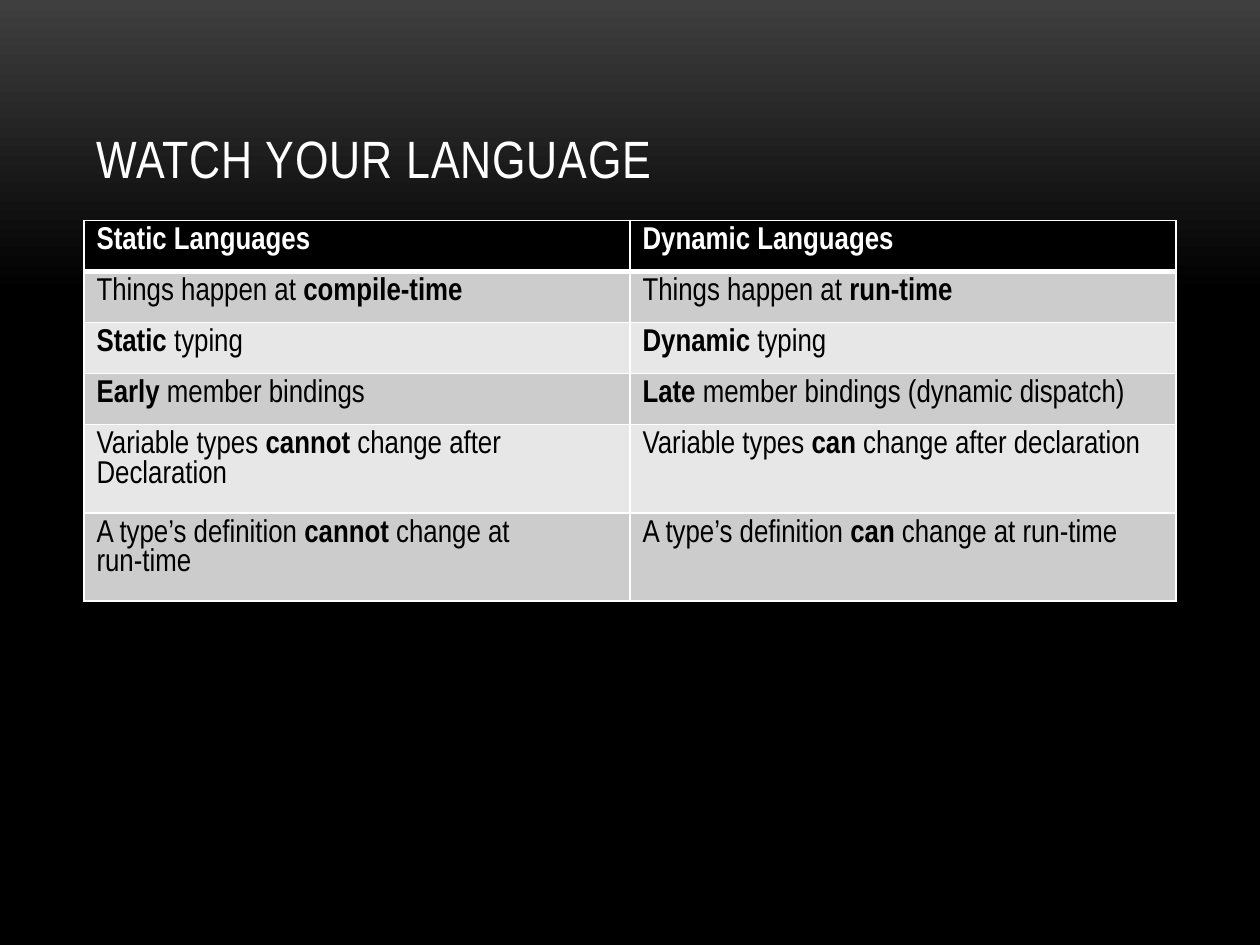
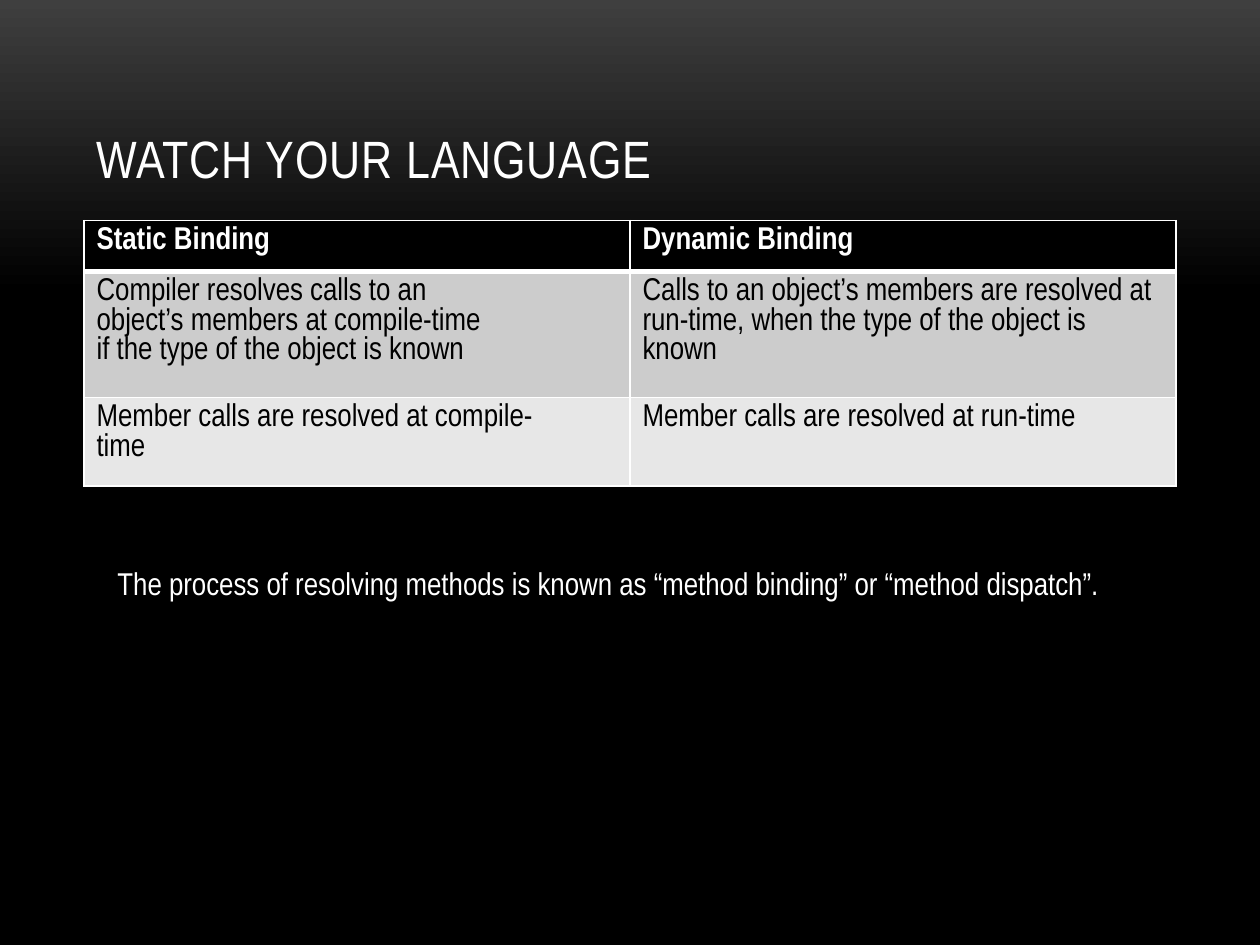
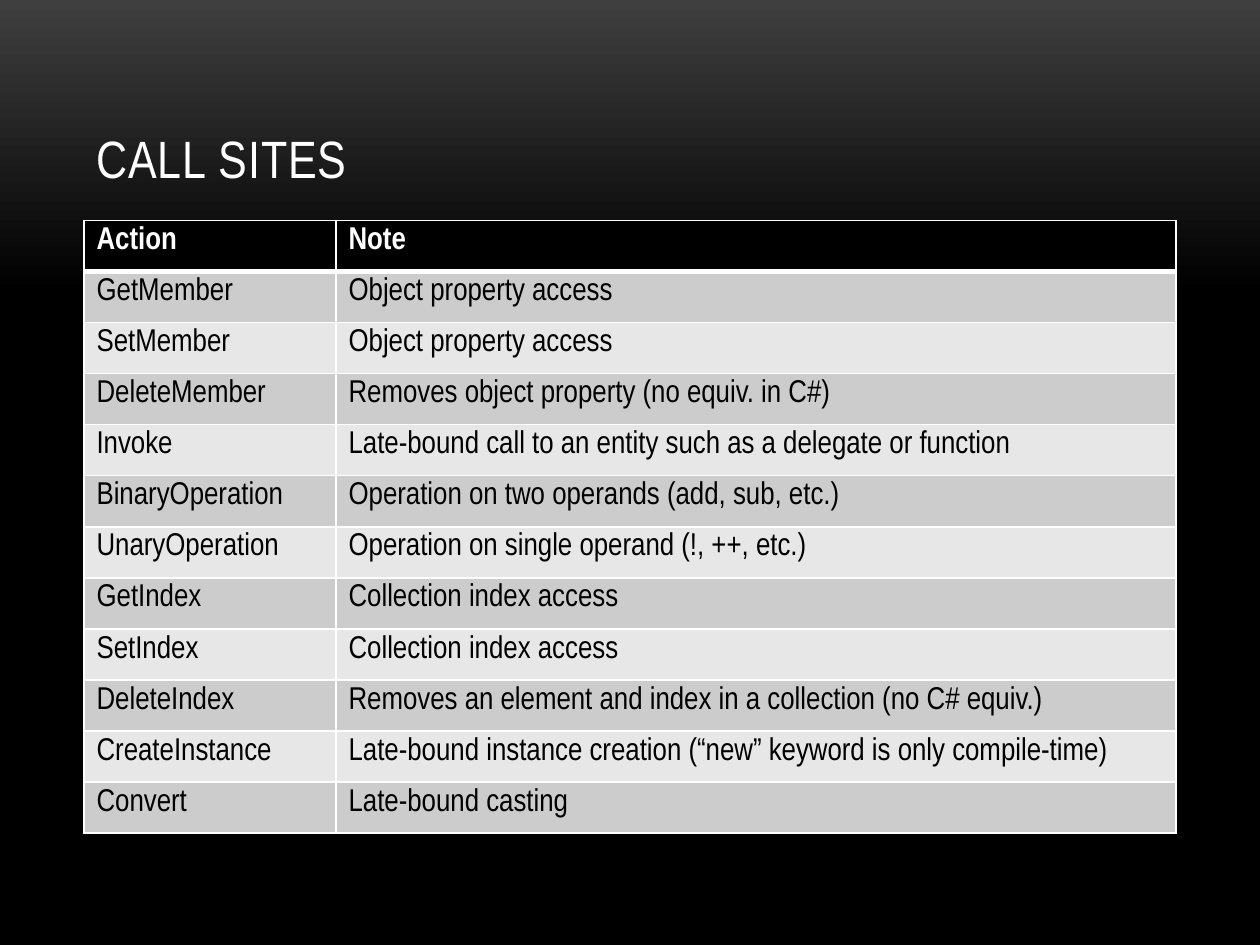
import pptx
import pptx.dml.color
import pptx.enum.text
import pptx.oxml
import pptx.oxml.ns
import pptx.util

WIDE = pptx.util.Inches(10)
HIGH = pptx.util.Inches(7.5)
FONT = "Arial Narrow"
WHITE, BLACK, GLOW = "FFFFFF", "000000", "3F3F3F"
BANDS = ["E7E7E7", "CCCCCC"]
LEFT, SPAN = 1 / 15, 13 / 15
ROW = 1 / 18.5

TYPING = [
    ["Static Languages", "Dynamic Languages"],
    ["Things happen at *compile-time*", "Things happen at *run-time*"],
    ["*Static* typing", "*Dynamic* typing"],
    ["*Early* member bindings", "*Late* member bindings (dynamic dispatch)"],
    ["Variable types *cannot* change after\nDeclaration",
     "Variable types *can* change after declaration"],
    ["A type’s definition *cannot* change at\nrun-time",
     "A type’s definition *can* change at run-time"],
]
BINDING = [
    ["Static Binding", "Dynamic Binding"],
    ["Compiler resolves calls to an\nobject’s members at compile-time\n"
     "if the type of the object is known",
     "Calls to an object’s members are resolved at run-time, "
     "when the type of the object is known"],
    ["Member calls are resolved at compile-\ntime",
     "Member calls are resolved at run-time"],
]
ACTIONS = [
    ["Action", "Note"],
    ["GetMember", "Object property access"],
    ["SetMember", "Object property access"],
    ["DeleteMember", "Removes object property (no equiv. in C#)"],
    ["Invoke", "Late-bound call to an entity such as a delegate or function"],
    ["BinaryOperation", "Operation on two operands (add, sub, etc.)"],
    ["UnaryOperation", "Operation on single operand (!, ++, etc.)"],
    ["GetIndex", "Collection index access"],
    ["SetIndex", "Collection index access"],
    ["DeleteIndex", "Removes an element and index in a collection (no C# equiv.)"],
    ["CreateInstance", "Late-bound instance creation (“new” keyword is only compile-time)"],
    ["Convert", "Late-bound casting"],
]


def color(code):
    return pptx.dml.color.RGBColor.from_string(code)


def place(left, top, width, height):
    return [int(n) for n in (left * WIDE, top * HIGH, width * WIDE, height * HIGH)]


def write(frame, text, size=18, tone=WHITE, bold=False, track=0):
    frame.word_wrap = True
    for n, line in enumerate(text.split("\n")):
        para = frame.add_paragraph() if n else frame.paragraphs[0]
        for k, part in enumerate(line.split("*")):
            if not part:
                continue
            run = para.add_run()
            run.text = part
            run.font.name = FONT
            run.font.size = pptx.util.Pt(size)
            run.font.bold = bold or k % 2 == 1
            run.font.color.rgb = color(tone)
            if track:
                run.font._element.set("spc", str(int(track * 100)))


def title(slide, text):
    frame = slide.shapes.add_textbox(*place(LEFT, 0.04, SPAN, 1 / 6)).text_frame
    frame.vertical_anchor = pptx.enum.text.MSO_ANCHOR.BOTTOM
    write(frame, text, size=30, track=0.5)


def note(slide, text):
    box = slide.shapes.add_textbox(*place(1 / 12, 0.59, 5 / 6, 0.05))
    write(box.text_frame, text)


def edge(cell, row):
    props = cell._tc.get_or_add_tcPr()
    widths = {"L": 1, "R": 1, "T": 3 if row == 1 else 1, "B": 3 if row == 0 else 1}
    for n, (side, width) in enumerate(widths.items()):
        props.insert(n, pptx.oxml.parse_xml(
            f'<a:ln{side} {pptx.oxml.ns.nsdecls("a")} w="{pptx.util.Pt(width)}">'
            f'<a:solidFill><a:srgbClr val="{WHITE}"/></a:solidFill></a:ln{side}>'))


def table(slide, rows, shares):
    spot = place(LEFT, 7 / 30, SPAN, ROW * len(rows))
    grid = slide.shapes.add_table(len(rows), len(shares), *spot).table
    for col, share in zip(grid.columns, shares):
        col.width = int(SPAN * WIDE * share / sum(shares))
    for r, texts in enumerate(rows):
        grid.rows[r].height = int(ROW * HIGH)
        head = r == 0
        for c, text in enumerate(texts):
            cell = grid.cell(r, c)
            cell.fill.solid()
            cell.fill.fore_color.rgb = color(BLACK if head else BANDS[r % 2])
            edge(cell, r)
            write(cell.text_frame, text, tone=WHITE if head else BLACK, bold=head)


def shade(master):
    fill = master.background.fill
    fill.gradient()
    fill.gradient_angle = 270
    for stop, (spot, tone) in zip(fill.gradient_stops, [(0, GLOW), (0.31, BLACK)]):
        stop.position = spot
        stop.color.rgb = color(tone)


def page(deck, text, rows, shares):
    slide = deck.slides.add_slide(deck.slide_layouts[6])
    title(slide, text)
    table(slide, rows, shares)
    return slide


def main():
    deck = pptx.Presentation()
    deck.slide_width, deck.slide_height = WIDE, HIGH
    shade(deck.slide_master)
    page(deck, "WATCH YOUR LANGUAGE", TYPING, [1, 1])
    slide = page(deck, "WATCH YOUR LANGUAGE", BINDING, [1, 1])
    note(slide, "The process of resolving methods is known as "
                "“method binding” or “method dispatch”.")
    page(deck, "CALL SITES", ACTIONS, [3, 10])
    deck.save("out.pptx")


if __name__ == "__main__":
    main()
